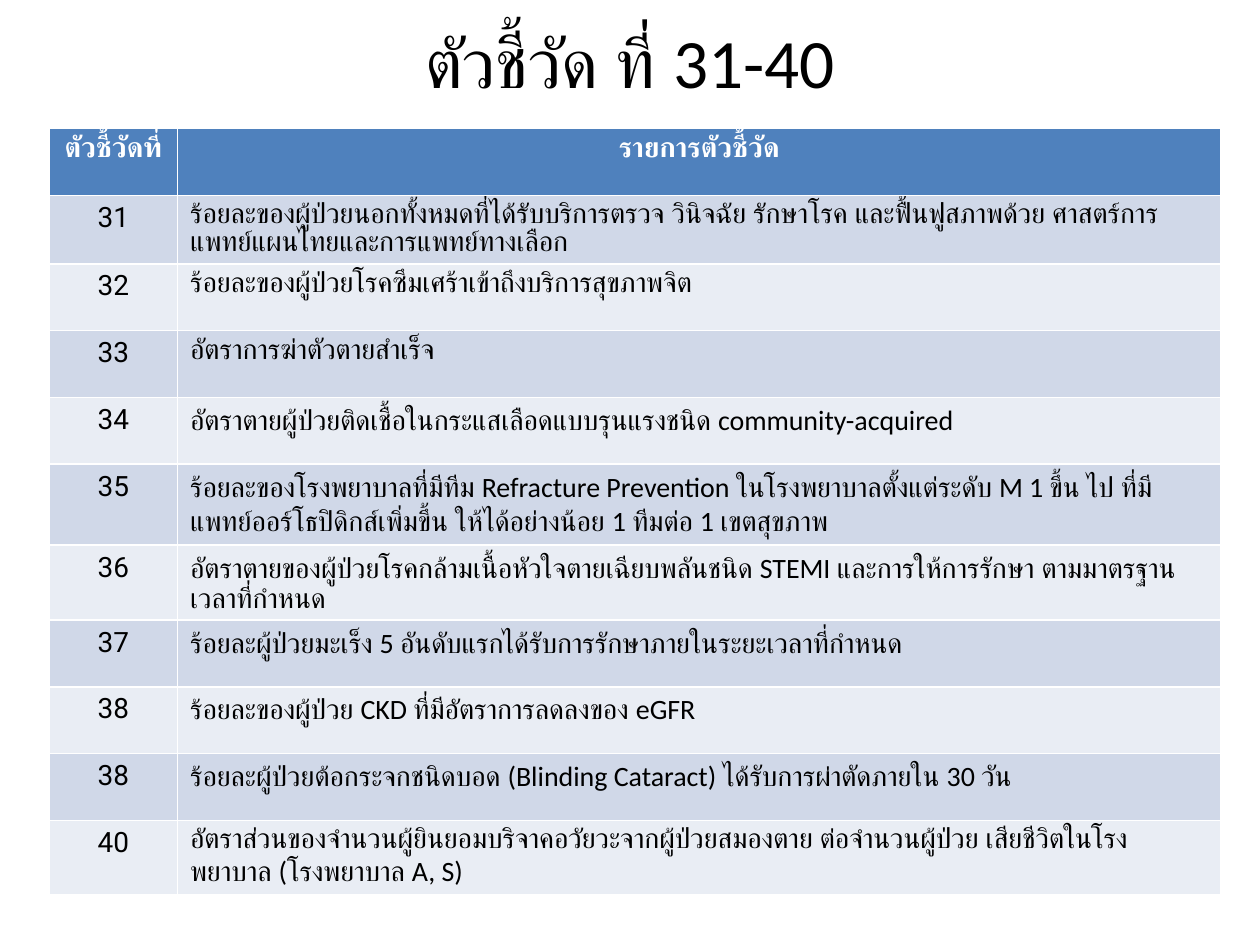
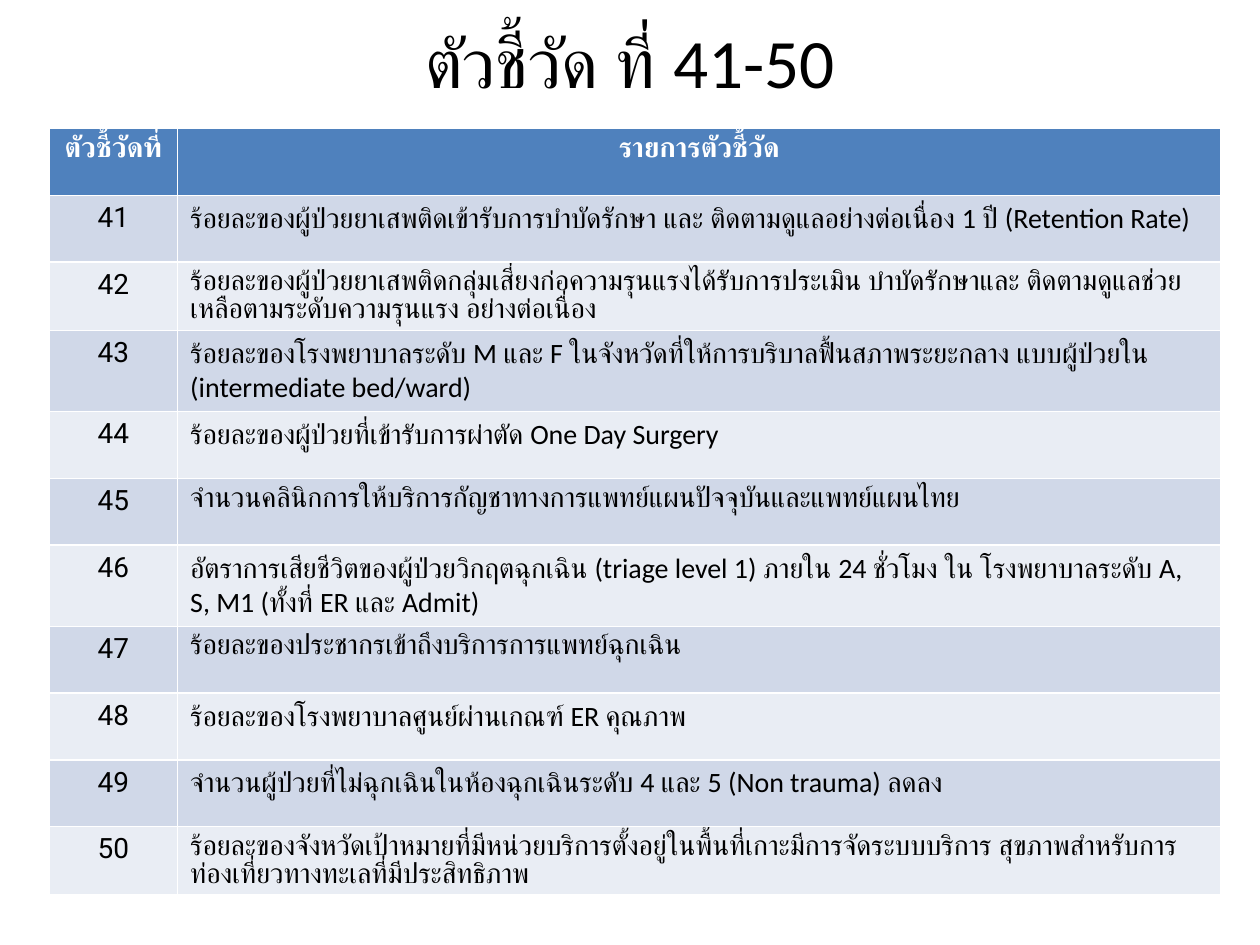
import dataclasses

import pptx
import pptx.dml.color
import pptx.enum.lang
import pptx.enum.text
import pptx.slide
import pptx.text.text
import pptx.util

Inches = pptx.util.Inches
Align = pptx.enum.text.PP_ALIGN

COLOURS = {
    "header": "4F81BD",
    "odd": "D0D8E8",
    "even": "E9EDF4",
    "ink": "000000",
    "header_ink": "FFFFFF",
}
BODY_FONT = "Calibri"
NUMBER_FONT = "Roboto"
HEADINGS = ("ตัวชี้วัดที่", "รายการตัวชี้วัด")
COLUMN_WIDTHS = (Inches(1.02), Inches(8.28))
ROW_HEIGHT = Inches(0.53)


@dataclasses.dataclass(frozen=True)
class Indicator:
    number: int
    name: str


@dataclasses.dataclass(frozen=True)
class IndicatorPage:
    title: str
    indicators: tuple[Indicator, ...]


@dataclasses.dataclass(frozen=True)
class TextStyle:
    font: str
    size: float
    colour: str
    align: Align
    bold: bool = False


TITLE = TextStyle(BODY_FONT, 39.6, "ink", Align.CENTER)
HEADING = TextStyle(NUMBER_FONT, 16, "header_ink", Align.CENTER, True)
NUMBER = TextStyle(NUMBER_FONT, 16, "ink", Align.CENTER)
NAME = TextStyle(BODY_FONT, 16, "ink", Align.LEFT)

PAGES = (
    IndicatorPage("ตัวชี้วัด ที่ 31-40", (
        Indicator(31, "ร้อยละของผู้ป่วยนอกทั้งหมดที่ได้รับบริการตรวจ วินิจฉัย รักษาโรค และฟื้นฟูสภาพด้วย "
                      "ศาสตร์การแพทย์แผนไทยและการแพทย์ทางเลือก"),
        Indicator(32, "ร้อยละของผู้ป่วยโรคซึมเศร้าเข้าถึงบริการสุขภาพจิต"),
        Indicator(33, "อัตราการฆ่าตัวตายสำเร็จ"),
        Indicator(34, "อัตราตายผู้ป่วยติดเชื้อในกระแสเลือดแบบรุนแรงชนิด community-acquired"),
        Indicator(35, "ร้อยละของโรงพยาบาลที่มีทีม Refracture Prevention ในโรงพยาบาลตั้งแต่ระดับ M 1 ขึ้น ไป "
                      "ที่มีแพทย์ออร์โธปิดิกส์เพิ่มขึ้น ให้ได้อย่างน้อย 1 ทีมต่อ 1 เขตสุขภาพ"),
        Indicator(36, "อัตราตายของผู้ป่วยโรคกล้ามเนื้อหัวใจตายเฉียบพลันชนิด STEMI และการให้การรักษา "
                      "ตามมาตรฐานเวลาที่กำหนด"),
        Indicator(37, "ร้อยละผู้ป่วยมะเร็ง 5 อันดับแรกได้รับการรักษาภายในระยะเวลาที่กำหนด"),
        Indicator(38, "ร้อยละของผู้ป่วย CKD ที่มีอัตราการลดลงของ eGFR"),
        Indicator(38, "ร้อยละผู้ป่วยต้อกระจกชนิดบอด (Blinding Cataract) ได้รับการผ่าตัดภายใน 30 วัน"),
        Indicator(40, "อัตราส่วนของจำนวนผู้ยินยอมบริจาคอวัยวะจากผู้ป่วยสมองตาย ต่อจำนวนผู้ป่วย "
                      "เสียชีวิตในโรงพยาบาล (โรงพยาบาล A, S)"),
    )),
    IndicatorPage("ตัวชี้วัด ที่ 41-50", (
        Indicator(41, "ร้อยละของผู้ป่วยยาเสพติดเข้ารับการบำบัดรักษา และ ติดตามดูแลอย่างต่อเนื่อง 1 ปี "
                      "(Retention Rate)"),
        Indicator(42, "ร้อยละของผู้ป่วยยาเสพติดกลุ่มเสี่ยงก่อความรุนแรงได้รับการประเมิน บำบัดรักษาและ "
                      "ติดตามดูแลช่วยเหลือตามระดับความรุนแรง อย่างต่อเนื่อง"),
        Indicator(43, "ร้อยละของโรงพยาบาลระดับ M และ F ในจังหวัดที่ให้การบริบาลฟื้นสภาพระยะกลาง "
                      "แบบผู้ป่วยใน (intermediate bed/ward)"),
        Indicator(44, "ร้อยละของผู้ป่วยที่เข้ารับการผ่าตัด One Day Surgery"),
        Indicator(45, "จำนวนคลินิกการให้บริการกัญชาทางการแพทย์แผนปัจจุบันและแพทย์แผนไทย"),
        Indicator(46, "อัตราการเสียชีวิตของผู้ป่วยวิกฤตฉุกเฉิน (triage level 1) ภายใน 24 ชั่วโมง ใน "
                      "โรงพยาบาลระดับ A, S, M1 (ทั้งที่ ER และ Admit)"),
        Indicator(47, "ร้อยละของประชากรเข้าถึงบริการการแพทย์ฉุกเฉิน"),
        Indicator(48, "ร้อยละของโรงพยาบาลศูนย์ผ่านเกณฑ์ ER คุณภาพ"),
        Indicator(49, "จำนวนผู้ป่วยที่ไม่ฉุกเฉินในห้องฉุกเฉินระดับ 4 และ 5 (Non trauma) ลดลง"),
        Indicator(50, "ร้อยละของจังหวัดเป้าหมายที่มีหน่วยบริการตั้งอยู่ในพื้นที่เกาะมีการจัดระบบบริการ "
                      "สุขภาพสำหรับการท่องเที่ยวทางทะเลที่มีประสิทธิภาพ"),
    )),
)


def colour(name: str) -> pptx.dml.color.RGBColor:
    return pptx.dml.color.RGBColor.from_string(COLOURS[name])


def write(frame: pptx.text.text.TextFrame, text: str, style: TextStyle) -> None:
    frame.text = text
    para = frame.paragraphs[0]
    para.alignment = style.align
    para.font.name = style.font
    para.font.size = pptx.util.Pt(style.size)
    para.font.bold = style.bold
    para.font.color.rgb = colour(style.colour)
    para.font.language_id = pptx.enum.lang.MSO_LANGUAGE_ID.THAI


def add_title(page: pptx.slide.Slide, text: str) -> None:
    box = page.shapes.title
    box.left, box.top = Inches(0.5), Inches(0.16)
    box.width, box.height = Inches(9), Inches(0.64)
    box.text_frame.auto_size = pptx.enum.text.MSO_AUTO_SIZE.NONE
    box.text_frame.vertical_anchor = pptx.enum.text.MSO_ANCHOR.MIDDLE
    write(box.text_frame, text, TITLE)


def add_indicator_table(page: pptx.slide.Slide, indicators: tuple[Indicator, ...]) -> None:
    rows = [HEADINGS] + [(str(item.number), item.name) for item in indicators]
    table = page.shapes.add_table(
        len(rows), len(HEADINGS), Inches(0.39), Inches(1.02),
        sum(COLUMN_WIDTHS), ROW_HEIGHT * len(rows),
    ).table
    for column, width in zip(table.columns, COLUMN_WIDTHS):
        column.width = width
    for row_index, texts in enumerate(rows):
        table.rows[row_index].height = ROW_HEIGHT
        if row_index == 0:
            fill, styles = "header", (HEADING, HEADING)
        else:
            fill, styles = "odd" if row_index % 2 else "even", (NUMBER, NAME)
        for column_index, (text, style) in enumerate(zip(texts, styles)):
            cell = table.cell(row_index, column_index)
            cell.fill.solid()
            cell.fill.fore_color.rgb = colour(fill)
            write(cell.text_frame, text, style)


def main() -> None:
    """Build the indicator table slides and save the deck."""
    deck = pptx.Presentation()
    deck.slide_width, deck.slide_height = Inches(10), Inches(7.5)
    title_only = deck.slide_layouts[5]
    for content in PAGES:
        page = deck.slides.add_slide(title_only)
        add_title(page, content.title)
        add_indicator_table(page, content.indicators)
    deck.save("out.pptx")


if __name__ == "__main__":
    main()
